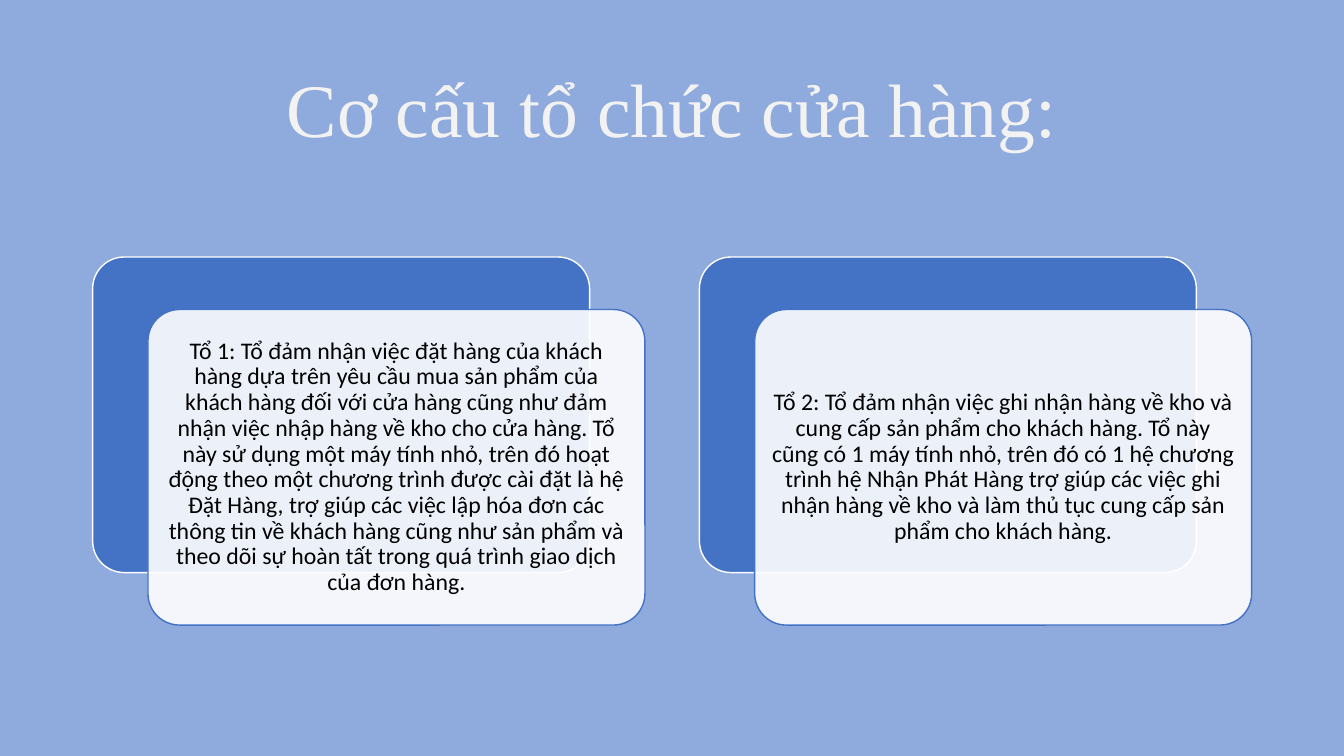
from dataclasses import dataclass

import pptx
import pptx.dml.color
import pptx.enum.shapes
import pptx.enum.text
import pptx.oxml
import pptx.oxml.ns
import pptx.util

Pt = pptx.util.Pt
Color = pptx.dml.color.RGBColor.from_string


@dataclass(frozen=True)
class Theme:
    background: str = "8FAADC"
    accent: str = "4472C4"
    white: str = "FFFFFF"
    title_color: str = "F2F2F2"
    text_color: str = "000000"
    title_font: str = "Times New Roman"
    text_font: str = "Calibri"
    title_size: int = 54
    text_size: int = 17
    card_opacity: int = 90


THEME = Theme()

TITLE = "Cơ cấu tổ chức cửa hàng:"
TEAMS = [
    "Tổ 1: Tổ đảm nhận việc đặt hàng của khách hàng dựa trên yêu cầu mua sản phẩm "
    "của khách hàng đối với cửa hàng cũng như đảm nhận việc nhập hàng về kho cho cửa "
    "hàng. Tổ này sử dụng một máy tính nhỏ, trên đó hoạt động theo một chương trình "
    "được cài đặt là hệ Đặt Hàng, trợ giúp các việc lập hóa đơn các thông tin về "
    "khách hàng cũng như sản phẩm và theo dõi sự hoàn tất trong quá trình giao dịch "
    "của đơn hàng.",
    "Tổ 2: Tổ đảm nhận việc ghi nhận hàng về kho và cung cấp sản phẩm cho khách "
    "hàng. Tổ này cũng có 1 máy tính nhỏ, trên đó có 1 hệ chương trình hệ Nhận Phát "
    "Hàng trợ giúp các việc ghi nhận hàng về kho và làm thủ tục cung cấp sản phẩm "
    "cho khách hàng.",
]

# Layout in points
CARD_LEFT, CARD_TOP = 66.2, 183.6
CARD_WIDTH, CARD_HEIGHT = 355, 225.4
CARD_PITCH = 433.4
FRONT_SHIFT_X, FRONT_SHIFT_Y = 39.5, 37.5
CARD_INSET = 5


def set_all(target, values):
    for name, value in values.items():
        setattr(target, name, value)


def write_text(box, text, font, size, color, inset):
    frame = box.text_frame
    set_all(frame, {
        "word_wrap": True,
        "auto_size": pptx.enum.text.MSO_AUTO_SIZE.NONE,
        "vertical_anchor": pptx.enum.text.MSO_ANCHOR.MIDDLE,
        "margin_left": Pt(inset), "margin_right": Pt(inset),
        "margin_top": Pt(inset), "margin_bottom": Pt(inset),
    })
    para = frame.paragraphs[0]
    set_all(para, {
        "alignment": pptx.enum.text.PP_ALIGN.CENTER,
        "line_spacing": 0.9, "space_before": Pt(0),
    })
    span = para.add_run()
    span.text = text
    set_all(span.font, {"name": font, "size": Pt(size)})
    span.font.color.rgb = Color(color)


def add_title(page):
    title = page.shapes.title
    set_all(title, {"left": Pt(66), "top": Pt(28.8),
                    "width": Pt(828), "height": Pt(104.4)})
    write_text(title, TITLE, THEME.title_font, THEME.title_size,
               THEME.title_color, inset=3.6)


def add_card(page, left, top, fill, line, opacity=100):
    card = page.shapes.add_shape(
        pptx.enum.shapes.MSO_SHAPE.ROUNDED_RECTANGLE,
        Pt(left), Pt(top), Pt(CARD_WIDTH), Pt(CARD_HEIGHT))
    card.adjustments[0] = 0.1
    card.shadow.inherit = False
    card.fill.solid()
    card.fill.fore_color.rgb = Color(fill)
    card.line.color.rgb = Color(line)
    card.line.width = Pt(1)
    if opacity < 100:
        fill_color = card.fill._xPr.find(
            "/".join(map(pptx.oxml.ns.qn, ("a:solidFill", "a:srgbClr"))))
        alpha = pptx.oxml.parse_xml(
            f'<a:alpha {pptx.oxml.ns.nsdecls("a")} val="{opacity * 1000}"/>')
        fill_color.append(alpha)
    return card


def add_team(page, left, text):
    # Solid card behind, translucent text card in front
    add_card(page, left, CARD_TOP, THEME.accent, THEME.white)
    front = add_card(page, left + FRONT_SHIFT_X, CARD_TOP + FRONT_SHIFT_Y,
                     THEME.white, THEME.accent, THEME.card_opacity)
    write_text(front, text, THEME.text_font, THEME.text_size,
               THEME.text_color, CARD_INSET)


def main():
    deck = pptx.Presentation()
    set_all(deck, {"slide_width": Pt(960), "slide_height": Pt(540)})

    # Title-only page with a plain background
    page = deck.slides.add_slide(deck.slide_layouts[5])
    page.background.fill.solid()
    page.background.fill.fore_color.rgb = Color(THEME.background)
    add_title(page)

    # One pair of cards per team
    for index, text in enumerate(TEAMS):
        add_team(page, CARD_LEFT + index * CARD_PITCH, text)

    deck.save("out.pptx")


if __name__ == "__main__":
    main()
